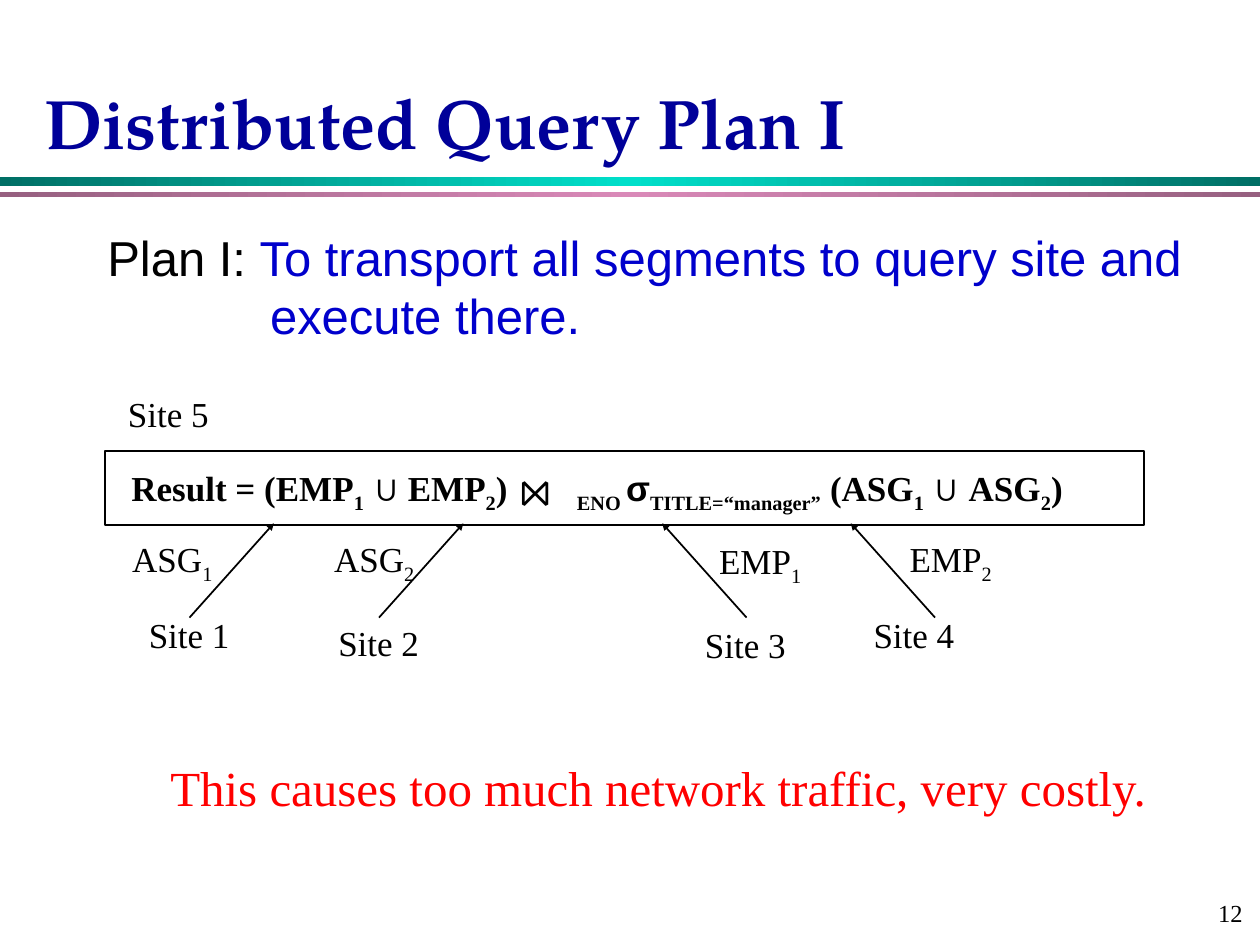
from copy import deepcopy

from lxml.etree import SubElement
from pptx import Presentation
from pptx.dml.color import RGBColor
from pptx.enum.shapes import MSO_CONNECTOR as Connector, MSO_SHAPE as Shape
from pptx.enum.text import MSO_ANCHOR as Anchor, MSO_AUTO_SIZE as AutoSize, PP_ALIGN as Align
from pptx.oxml.ns import qn
from pptx.util import Cm, Pt

BLACK = RGBColor(0x00, 0x00, 0x00)
NAVY = RGBColor(0x00, 0x00, 0x99)
BLUE = RGBColor(0x00, 0x00, 0xCC)
RED = RGBColor(0xFF, 0x00, 0x00)
TEAL_EDGE, TEAL_MIDDLE = RGBColor(0x00, 0x6F, 0x65), RGBColor(0x00, 0xDF, 0xCA)
PINK_EDGE, PINK_MIDDLE = RGBColor(0x97, 0x60, 0x80), RGBColor(0xD9, 0x89, 0xB8)
SERIF, SANS, DISPLAY = "Times New Roman", "Arial", "TeX Gyre Pagella"


def add_run(paragraph, text, font=SERIF, size=20, color=BLACK, bold=False, subscript=False):
    """Append a formatted run to a paragraph."""
    run = paragraph.add_run()
    run.text = text
    run.font.name, run.font.size, run.font.bold = font, Pt(size), bold
    run.font.color.rgb = color
    if subscript:
        run.font._element.set("baseline", "-25000")


def add_text_box(slide, left, top, width, height, align=Align.CENTER, wrap=False):
    """Add an empty text box and return its first paragraph."""
    frame = slide.shapes.add_textbox(Cm(left), Cm(top), Cm(width), Cm(height)).text_frame
    frame.word_wrap = wrap
    paragraph = frame.paragraphs[0]
    paragraph.alignment = align
    return paragraph


def place(placeholder, box, anchor):
    """Move a placeholder to a box and return its text frame."""
    placeholder.left, placeholder.top, placeholder.width, placeholder.height = map(Cm, box)
    frame = placeholder.text_frame
    frame.auto_size = AutoSize.NONE
    frame.vertical_anchor = anchor
    return frame


def add_gradient_bar(slide, box, edge, middle):
    """Draw a borderless bar that is lighter in the middle."""
    bar = slide.shapes.add_shape(Shape.RECTANGLE, *map(Cm, box))
    bar.shadow.inherit = False
    bar.line.fill.background()
    bar.fill.gradient()
    bar.fill.gradient_angle = 0
    for stop, position, color in zip(bar.fill.gradient_stops, (0, 0.5), (edge, middle)):
        stop.position = position
        stop.color.rgb = color
    stops = bar._element.spPr.find(qn("a:gradFill")).find(qn("a:gsLst"))
    last = deepcopy(stops[0])
    last.set("pos", "100000")
    stops.append(last)


def add_header(slide, box):
    """Write the title and draw the two bars below it."""
    left, top, width, height = box
    frame = place(slide.shapes.title, (left + 0.64, top, width - 0.84, height), Anchor.MIDDLE)
    paragraph = frame.paragraphs[0]
    paragraph.alignment = Align.LEFT
    add_run(paragraph, "Distributed Query Plan I", DISPLAY, 40, NAVY, bold=True)
    add_gradient_bar(slide, (left, top + 2.49, width, 0.2), TEAL_EDGE, TEAL_MIDDLE)
    add_gradient_bar(slide, (left, top + 2.8, width, 0.1), PINK_EDGE, PINK_MIDDLE)


def format_body_paragraph(paragraph, level, margin, indent, space_before):
    """Set the level, indents and spacing of a paragraph without a bullet."""
    paragraph.level = level
    paragraph.alignment = Align.LEFT
    paragraph.space_before = Pt(space_before)
    properties = paragraph._p.get_or_add_pPr()
    properties.set("marL", str(Cm(margin)))
    properties.set("indent", str(Cm(indent)))
    SubElement(properties, qn("a:buNone"))


def add_body(slide, box):
    """Write the plan and the conclusion in the body placeholder."""
    frame = place(slide.placeholders[1], box, Anchor.TOP)
    plan = frame.paragraphs[0]
    format_body_paragraph(plan, 1, 4.55, -3.28, 0)
    add_run(plan, "Plan I: ", SANS, 28)
    add_run(plan, "To transport all segments to query site and execute there.", SANS, 28, BLUE)
    conclusion = frame.add_paragraph()
    format_body_paragraph(conclusion, 2, 2.54, 0, 236)
    add_run(conclusion, "This causes too much network traffic, very costly.", SERIF, 28, RED)


def add_formula(slide, box):
    """Write the result expression, with a tab that leaves room for the join sign."""
    paragraph = add_text_box(slide, *box, align=Align.LEFT, wrap=True)
    tabs = SubElement(paragraph._p.get_or_add_pPr(), qn("a:tabLst"))
    SubElement(tabs, qn("a:tab"), pos=str(Cm(8.98)), algn="l")
    subscript, symbol = {"subscript": True}, {"font": SANS}
    parts = [
        ("Result = (EMP", {}), ("1", subscript), (" ∪", symbol), (" EMP", {}), ("2", subscript),
        (")\t", {}), ("ENO ", subscript), ("σ", symbol), ("TITLE=“manager”", subscript),
        (" (ASG", {}), ("1", subscript), (" ∪ ", symbol), ("ASG", {}), ("2", subscript), (")", {}),
    ]
    for text, style in parts:
        add_run(paragraph, text, bold=True, **style)


def add_arrow(slide, start, end):
    """Draw a black arrow from start to end."""
    arrow = slide.shapes.add_connector(Connector.STRAIGHT, *map(Cm, start + end))
    arrow.line.color.rgb = BLACK
    arrow.line.width = Pt(1)
    SubElement(arrow.line._get_or_add_ln(), qn("a:tailEnd"), type="triangle", w="sm", len="sm")
    SubElement(arrow._element.spPr, qn("a:effectLst"))


def add_query_diagram(slide, box):
    """Draw the query site and the four sites that send their segments to it."""
    left, top, width, height = box
    query_site = slide.shapes.add_shape(Shape.RECTANGLE, *map(Cm, box))
    query_site.shadow.inherit = False
    query_site.fill.background()
    query_site.line.color.rgb = BLACK
    query_site.line.width = Pt(1)
    add_formula(slide, (left + 0.28, top + 0.18, width - 1.32, 1.22))
    add_run(add_text_box(slide, left + 7.82, top, 1.7, 1.45), "⋈", size=28)
    add_run(add_text_box(slide, left + 0.1, top - 1.32, 2.35, 1.12), "Site 5")

    sites = [
        ("Site 1", (0.52, 3.15), "ASG", "1", (0.03, 1.62), 1.7, 1.7),
        ("Site 2", (4.34, 3.31), "ASG", "2", (4.1, 1.62), 5.52, 1.7),
        ("Site 3", (11.73, 3.34), "EMP", "1", (11.88, 1.65), 12.93, -1.7),
        ("Site 4", (15.13, 3.15), "EMP", "2", (15.72, 1.62), 16.73, -1.7),
    ]
    for site, site_at, relation, number, relation_at, start, run in sites:
        add_arrow(slide, (left + start, top + 3.35), (left + start + run, top + height - 0.03))
        add_run(add_text_box(slide, left + site_at[0], top + site_at[1], 2.35, 1.12), site)
        label = add_text_box(slide, left + relation_at[0], top + relation_at[1], 2.65, 1.22)
        add_run(label, relation)
        add_run(label, number, subscript=True)


def add_page_number(slide, box):
    """Write the page number at the right of its box."""
    paragraph = add_text_box(slide, *box, align=Align.RIGHT, wrap=True)
    add_run(paragraph, "12", size=14)


def main():
    """Build the slide and save it."""
    presentation = Presentation()
    presentation.slide_width, presentation.slide_height = Cm(25.4), Cm(19.05)
    slide = presentation.slides.add_slide(presentation.slide_layouts[1])
    add_header(slide, (0, 1.07, 25.4, 2.74))
    add_body(slide, (0.64, 4.45, 23.93, 12.12))
    add_query_diagram(slide, (2.12, 9.1, 20.95, 1.48))
    add_page_number(slide, (20.1, 17.98, 5.2, 0.9))
    presentation.save("out.pptx")


if __name__ == "__main__":
    main()
